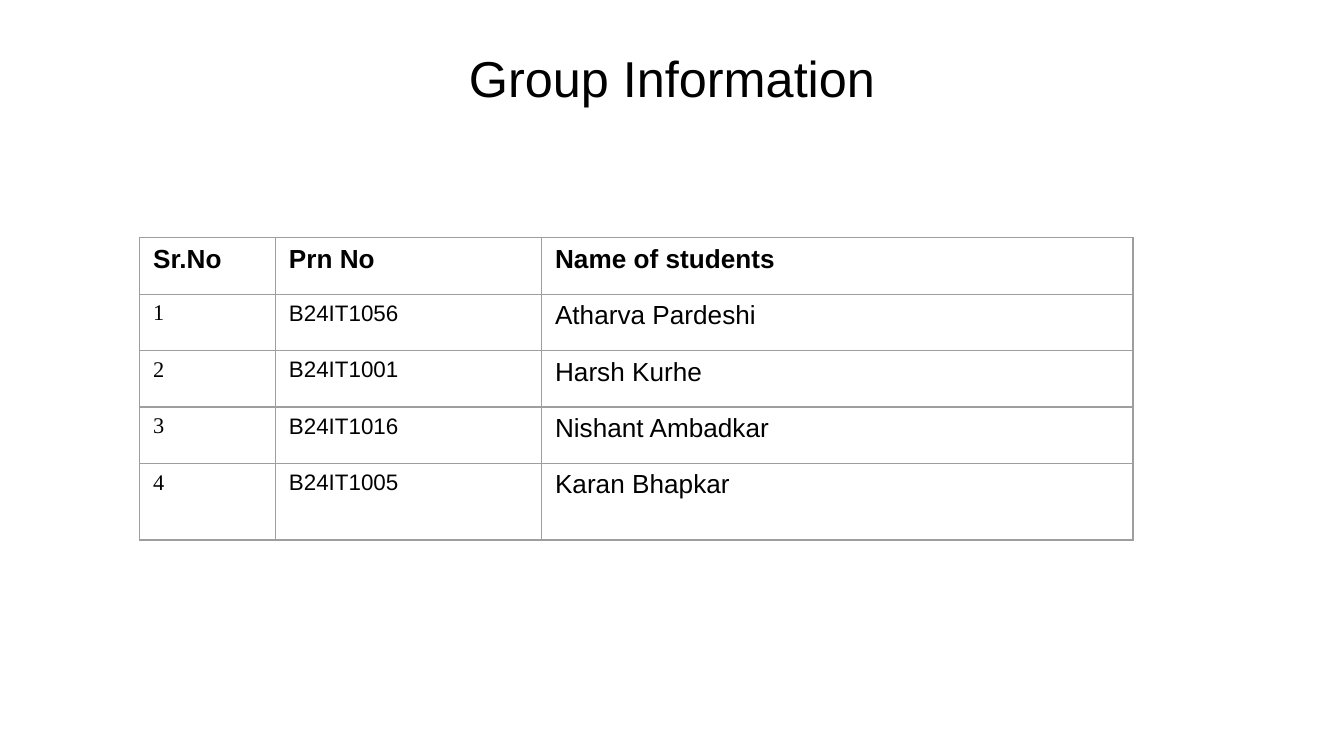
from lxml.etree import SubElement
from pptx import Presentation
from pptx.dml.color import RGBColor
from pptx.enum.text import MSO_ANCHOR, PP_ALIGN
from pptx.oxml.ns import qn
from pptx.util import Inches, Pt

# Content
TITLE = "Group Information"
HEADERS = ["Sr.No", "Prn No", "Name of students"]
STUDENTS = [
    ("B24IT1056", "Atharva Pardeshi"),
    ("B24IT1001", "Harsh Kurhe"),
    ("B24IT1016", "Nishant Ambadkar"),
    ("B24IT1005", "Karan Bhapkar"),
]

# Style
COLORS = {"text": "000000", "background": "FFFFFF", "border": "9E9E9E"}
COLUMN_WIDTHS = [1.01, 1.98, 4.4]
ROW_HEIGHTS = [0.42] * len(STUDENTS) + [0.57]
HEADER_FONT = ("Arial", 14, True)
COLUMN_FONTS = [("Times New Roman", 12, False), ("Arial", 12, False), ("Arial", 14, False)]


def write(text_frame, text, name, size, bold=False):
    text_frame.text = text
    font = text_frame.paragraphs[0].runs[0].font
    font.name, font.size, font.bold = name, Pt(size), bold
    font.color.rgb = RGBColor.from_string(COLORS["text"])


def add_borders(cell):
    properties = cell._tc.get_or_add_tcPr()
    for side in ("lnL", "lnR", "lnT", "lnB"):
        line = SubElement(properties, qn(f"a:{side}"), w=str(Pt(0.75)))
        fill = SubElement(line, qn("a:solidFill"))
        SubElement(fill, qn("a:srgbClr"), val=COLORS["border"])


# Widescreen slide, 16:9
presentation = Presentation()
presentation.slide_width = Inches(10)
presentation.slide_height = Inches(10 * 9 / 16)
slide = presentation.slides.add_slide(presentation.slide_layouts[6])
slide.background.fill.solid()
slide.background.fill.fore_color.rgb = RGBColor.from_string(COLORS["background"])

# Title
title = slide.shapes.add_textbox(Inches(0.34), Inches(0.17), Inches(9.32), Inches(0.73)).text_frame
title.word_wrap = True
title.vertical_anchor = MSO_ANCHOR.BOTTOM
title.margin_left = title.margin_right = title.margin_top = title.margin_bottom = Inches(0.1)
write(title, TITLE, "Arial", 27)
title.paragraphs[0].alignment = PP_ALIGN.CENTER

# Student table
rows = [HEADERS] + [(str(number), *student) for number, student in enumerate(STUDENTS, 1)]
students = slide.shapes.add_table(
    len(rows), len(HEADERS), Inches(1.04), Inches(1.77),
    Inches(sum(COLUMN_WIDTHS)), Inches(sum(ROW_HEIGHTS)),
).table
students.first_row = students.horz_banding = False
for column, width in zip(students.columns, COLUMN_WIDTHS):
    column.width = Inches(width)
for row, height in zip(students.rows, ROW_HEIGHTS):
    row.height = Inches(height)

for r, values in enumerate(rows):
    for c, value in enumerate(values):
        cell = students.cell(r, c)
        add_borders(cell)
        cell.fill.background()
        write(cell.text_frame, value, *(COLUMN_FONTS[c] if r else HEADER_FONT))

presentation.save("out.pptx")
